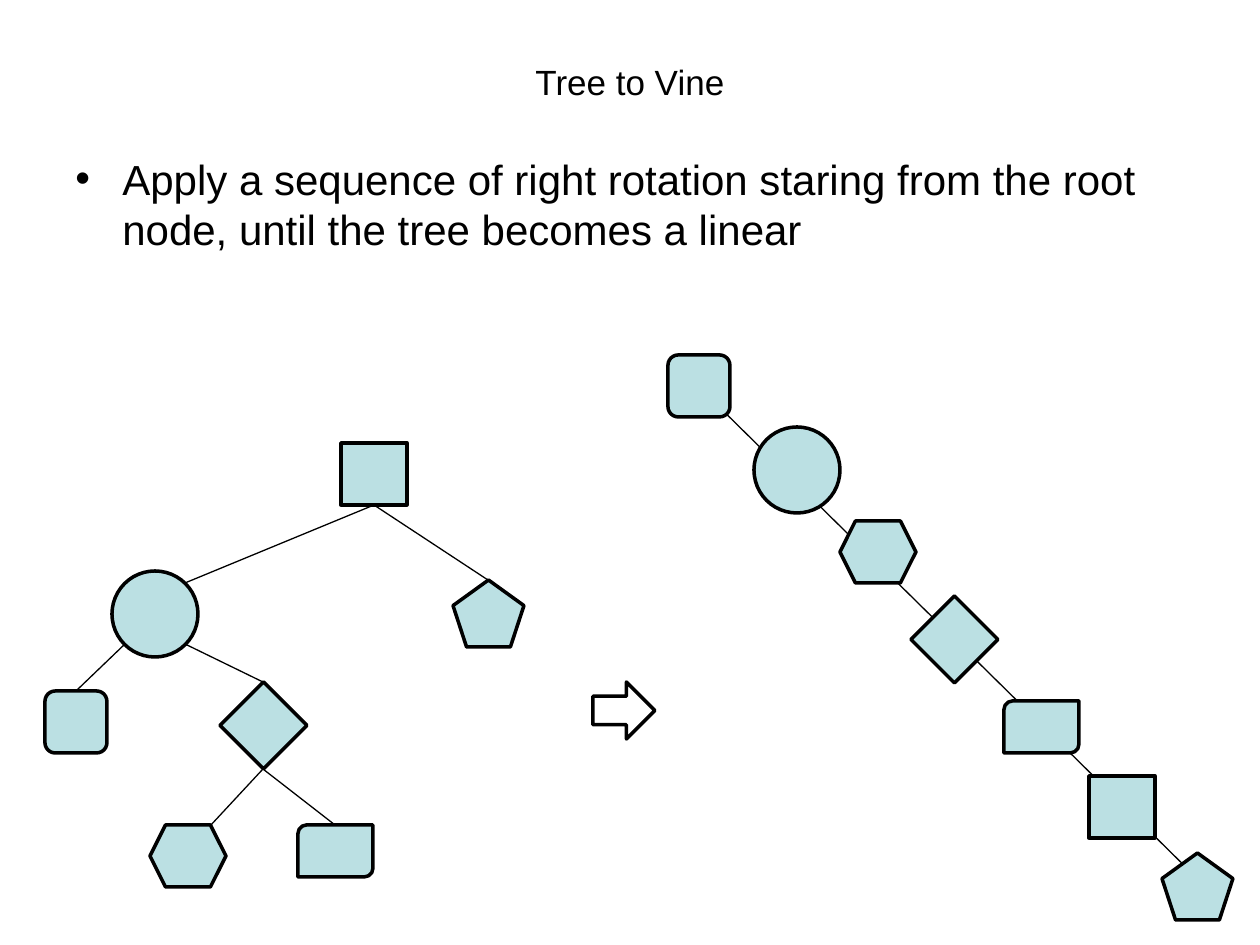
"""Build the Tree to Vine slide."""
from lxml import etree
from pptx import Presentation
from pptx.dml.color import RGBColor
from pptx.enum.shapes import MSO_CONNECTOR, MSO_SHAPE
from pptx.enum.text import MSO_ANCHOR, PP_ALIGN
from pptx.oxml.ns import qn
from pptx.util import Pt

SCALE = 914400 / 126
BLACK = RGBColor(0x00, 0x00, 0x00)
PALE_BLUE = RGBColor(0xBB, 0xE0, 0xE3)
STRAIGHT = MSO_CONNECTOR.STRAIGHT
CENTER, LEFT = PP_ALIGN.CENTER, PP_ALIGN.LEFT
MIDDLE, TOP = MSO_ANCHOR.MIDDLE, MSO_ANCHOR.TOP
RIGHT_ARROW = MSO_SHAPE.RIGHT_ARROW

NODE_KINDS = {
    "circle": (MSO_SHAPE.OVAL, 86, 86),
    "square": (MSO_SHAPE.RECTANGLE, 66, 62),
    "rounded": (MSO_SHAPE.ROUNDED_RECTANGLE, 62, 62),
    "diamond": (MSO_SHAPE.DIAMOND, 87, 87),
    "pentagon": (MSO_SHAPE.REGULAR_PENTAGON, 71, 67),
    "hexagon": (MSO_SHAPE.HEXAGON, 76, 62),
    "diagonal": (MSO_SHAPE.ROUND_2_DIAG_RECTANGLE, 75, 52),
}
TREE_NODES = {
    "circle": (112, 571), "square": (341, 443), "rounded": (45, 691),
    "diamond": (220, 682), "pentagon": (453, 580), "hexagon": (150, 825),
    "diagonal": (298, 825),
}
VINE_NODES = {
    "rounded": (668, 355), "circle": (754, 427), "hexagon": (840, 521),
    "diamond": (911, 596), "diagonal": (1004, 701), "square": (1089, 776),
    "pentagon": (1162, 853),
}
TREE_EDGES = [
    ((125, 644), (76, 691)), ((185, 583), (374, 505)),
    ((185, 644), (263, 682)), ((374, 505), (488, 580)),
    ((263, 769), (211, 825)), ((263, 769), (335, 825)),
]
VINE_EDGES = [((699, 387), (1206, 887))]


def px(*lengths):
    """Turn pixels into EMU."""
    return [round(length * SCALE) for length in lengths]


def add_text(slide, box, text, size, align, anchor):
    """Add a one-paragraph text box and return the paragraph."""
    frame = slide.shapes.add_textbox(*px(*box)).text_frame
    frame.word_wrap = True
    frame.vertical_anchor = anchor
    paragraph = frame.paragraphs[0]
    paragraph.alignment = align
    run = paragraph.add_run()
    run.text = text
    run.font.name = "Arial"
    run.font.size = Pt(size)
    run.font.color.rgb = BLACK
    return paragraph


def add_bullet(paragraph, indent):
    """Give a paragraph a hanging bullet."""
    paragraph.space_before = Pt(2)
    properties = paragraph._p.get_or_add_pPr()
    margin = px(indent)[0]
    properties.set("marL", str(margin))
    properties.set("indent", str(-margin))
    etree.SubElement(properties, qn("a:buFont")).set("typeface", "Arial")
    etree.SubElement(properties, qn("a:buChar")).set("char", "•")


def add_outlined(slide, kind, box, fill=None):
    """Add a preset shape with a black outline."""
    shape = slide.shapes.add_shape(kind, *px(*box))
    shape.shadow.inherit = False
    if fill is None:
        shape.fill.background()
    else:
        shape.fill.solid()
        shape.fill.fore_color.rgb = fill
    shape.line.color.rgb = BLACK
    shape.line.width = Pt(2)


def add_edge(slide, start, end):
    """Add a thin line between two points."""
    edge = slide.shapes.add_connector(STRAIGHT, *px(*start, *end))
    edge.line.color.rgb = BLACK
    edge.line.width = Pt(0.75)
    etree.SubElement(edge._element.spPr, qn("a:effectLst"))


def add_graph(slide, nodes, edges):
    """Add the edges, then the nodes above them."""
    for start, end in edges:
        add_edge(slide, start, end)
    for name, (left, top) in nodes.items():
        kind, width, height = NODE_KINDS[name]
        add_outlined(slide, kind, (left, top, width, height), PALE_BLUE)


def main():
    """Build and save the slide."""
    presentation = Presentation()
    presentation.slide_width, presentation.slide_height = px(1260, 945)
    slide = presentation.slides.add_slide(presentation.slide_layouts[6])
    add_text(slide, (63, 38, 1134, 88), "Tree to Vine", 20, CENTER, MIDDLE)
    body = add_text(
        slide, (63, 147, 1134, 697),
        "Apply a sequence of right rotation staring from the root node, "
        "until the tree becomes a linear", 24, LEFT, TOP)
    add_bullet(body, 47)
    add_graph(slide, TREE_NODES, TREE_EDGES)
    add_outlined(slide, RIGHT_ARROW, (593, 682, 62, 57))
    add_graph(slide, VINE_NODES, VINE_EDGES)
    presentation.save("out.pptx")


main()
